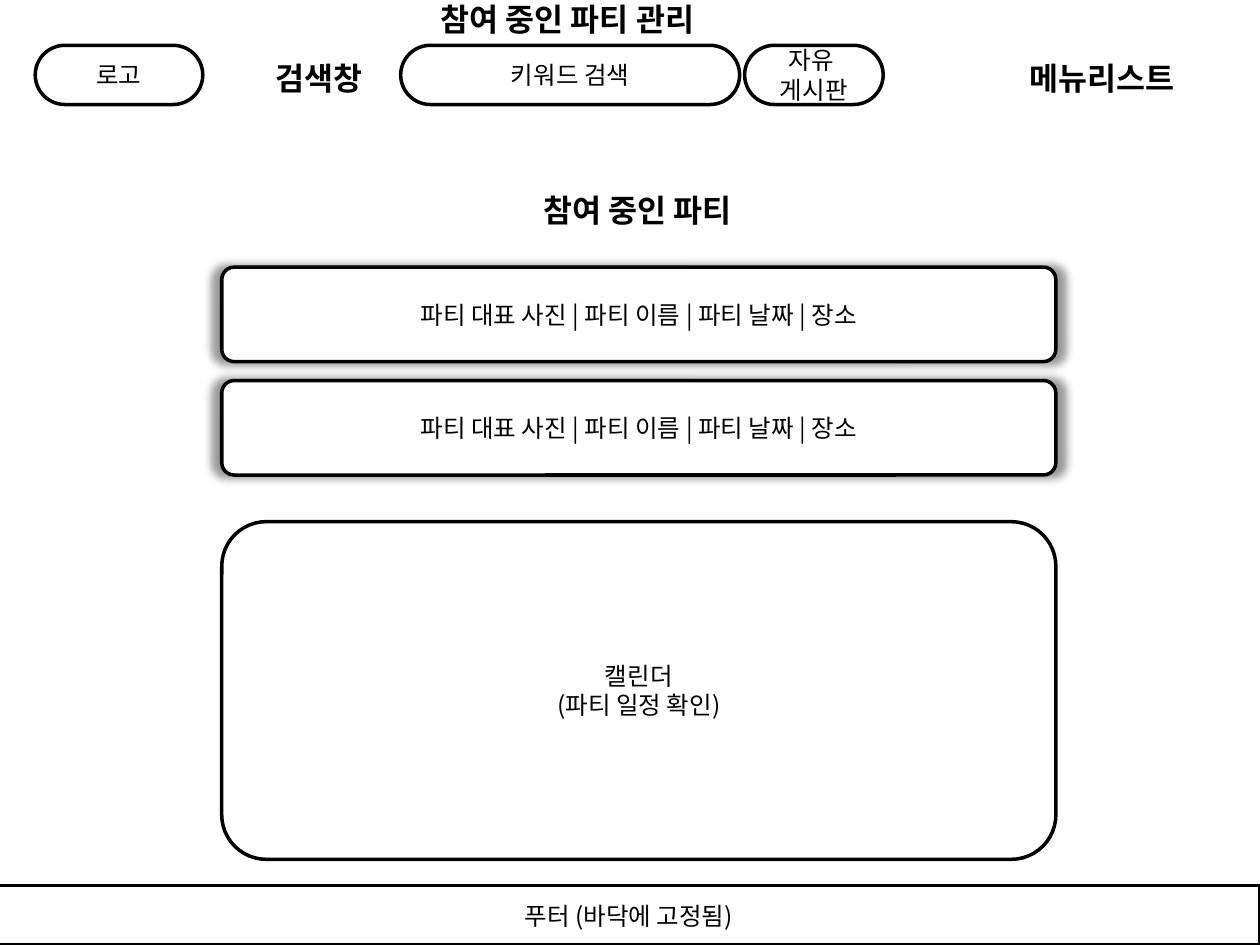
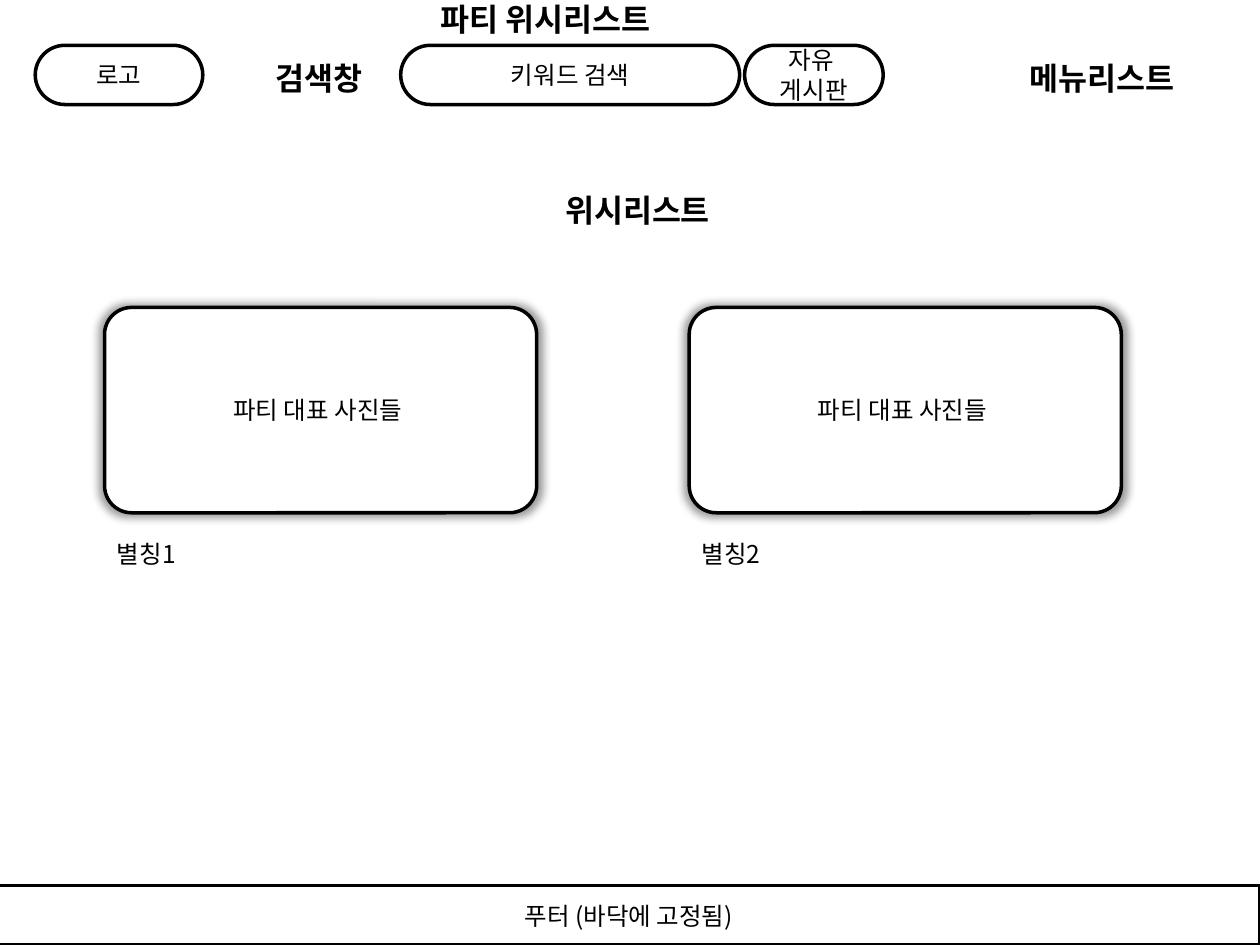
from lxml import etree
from pptx import Presentation
from pptx import util as u
from pptx.dml.color import RGBColor
from pptx.enum import shapes, text
from pptx.oxml import ns

PX = u.Inches(1) // 100
COLORS = {"ink": "000000", "paper": "FFFFFF"}
FONT = "Noto Sans CJK KR"
BODY = {"size": u.Pt(14), "bold": False, "name": FONT}
HEADING = {"size": u.Pt(18), "bold": True, "name": FONT}
PILL, CARD, SQUARE = 0.5, 0.132, 0
LEFT, CENTER = text.PP_ALIGN.LEFT, text.PP_ALIGN.CENTER


def color(name):
    return RGBColor.from_string(COLORS[name])


class Wireframe:
    """Holds the deck, its style and the page being drawn."""

    def __init__(self, width, height):
        self.deck = Presentation()
        self.deck.slide_width, self.deck.slide_height = width * PX, height * PX
        self.page = None

    def add_page(self):
        self.page = self.deck.slides.add_slide(self.deck.slide_layouts[6])

    def fill_text(self, frame, lines, style, align):
        frame.word_wrap = True
        for number, line in enumerate(lines.split("\n")):
            para = frame.add_paragraph() if number else frame.paragraphs[0]
            para.alignment = align
            span = para.add_run()
            span.text = line
            for key, value in style.items():
                setattr(span.font, key, value)
            span.font.color.rgb = color("ink")
            east_asian = etree.SubElement(span.font._element, ns.qn("a:ea"))
            east_asian.set("typeface", FONT)

    def label(self, left, top, width, lines, style=HEADING, align=LEFT):
        height = 40 if style is HEADING else 34
        box = self.page.shapes.add_textbox(*(n * PX for n in (left, top, width, height)))
        self.fill_text(box.text_frame, lines, style, align)
        box.text_frame.auto_size = text.MSO_AUTO_SIZE.SHAPE_TO_FIT_TEXT

    def panel(self, left, top, width, height, lines, corner=CARD, glow=False):
        box = self.page.shapes.add_shape(
            shapes.MSO_SHAPE.ROUNDED_RECTANGLE,
            *(n * PX for n in (left, top, width, height)))
        box.adjustments[0] = corner
        box.shadow.inherit = False
        box.fill.solid()
        box.fill.fore_color.rgb = color("paper")
        box.line.color.rgb = color("ink")
        box.line.width = u.Pt(2)
        box.text_frame.vertical_anchor = text.MSO_ANCHOR.MIDDLE
        self.fill_text(box.text_frame, lines, BODY, CENTER)
        if glow:
            self.add_glow(box)

    def add_glow(self, box):
        """Put a soft, centred shadow slightly larger than the box behind it."""
        effects = box._element.spPr.find(ns.qn("a:effectLst"))
        shadow = etree.SubElement(
            effects, ns.qn("a:outerShdw"), blurRad=str(u.Pt(5)),
            sx="102000", sy="102000", algn="ctr", rotWithShape="0")
        tint = etree.SubElement(shadow, ns.qn("a:srgbClr"), val=COLORS["ink"])
        etree.SubElement(tint, ns.qn("a:alpha"), val="40000")

    def frame(self, title, section):
        """Start a page with the header, section heading and footer all pages share."""
        self.add_page()
        self.panel(318, 36, 269, 47, "키워드 검색", PILL)
        self.panel(28, 36, 133, 47, "로고", PILL)
        self.label(209, 42, 217, "검색창")
        self.panel(591, 36, 110, 47, "자유 \n게시판", PILL)
        self.label(340, -5, 300, title)
        self.label(807, 42, 217, "메뉴리스트")
        self.panel(-2, 703, 1002, 47, "푸터 (바닥에 고정됨)", SQUARE)
        self.label(356, 147, 300, section, align=CENTER)


def joined_parties(wireframe):
    wireframe.frame("참여 중인 파티 관리", "참여 중인 파티")
    left, width = 176, 662
    for row in range(2):
        wireframe.panel(left, 212 + 90 * row, width, 75,
                        "파티 대표 사진 | 파티 이름 | 파티 날짜 | 장소", glow=True)
    wireframe.panel(left, 414, width, 268, "캘린더\n(파티 일정 확인)")


def wishlist(wireframe):
    wireframe.frame("파티 위시리스트", "위시리스트")
    for column in range(2):
        left = 83 + 464 * column
        wireframe.panel(left, 244, 343, 163, "파티 대표 사진들 ", glow=True)
        wireframe.label(left, 423, 217, f"별칭{column + 1}", BODY)


def main():
    wireframe = Wireframe(1000, 750)
    joined_parties(wireframe)
    wishlist(wireframe)
    wireframe.deck.save("out.pptx")


if __name__ == "__main__":
    main()
